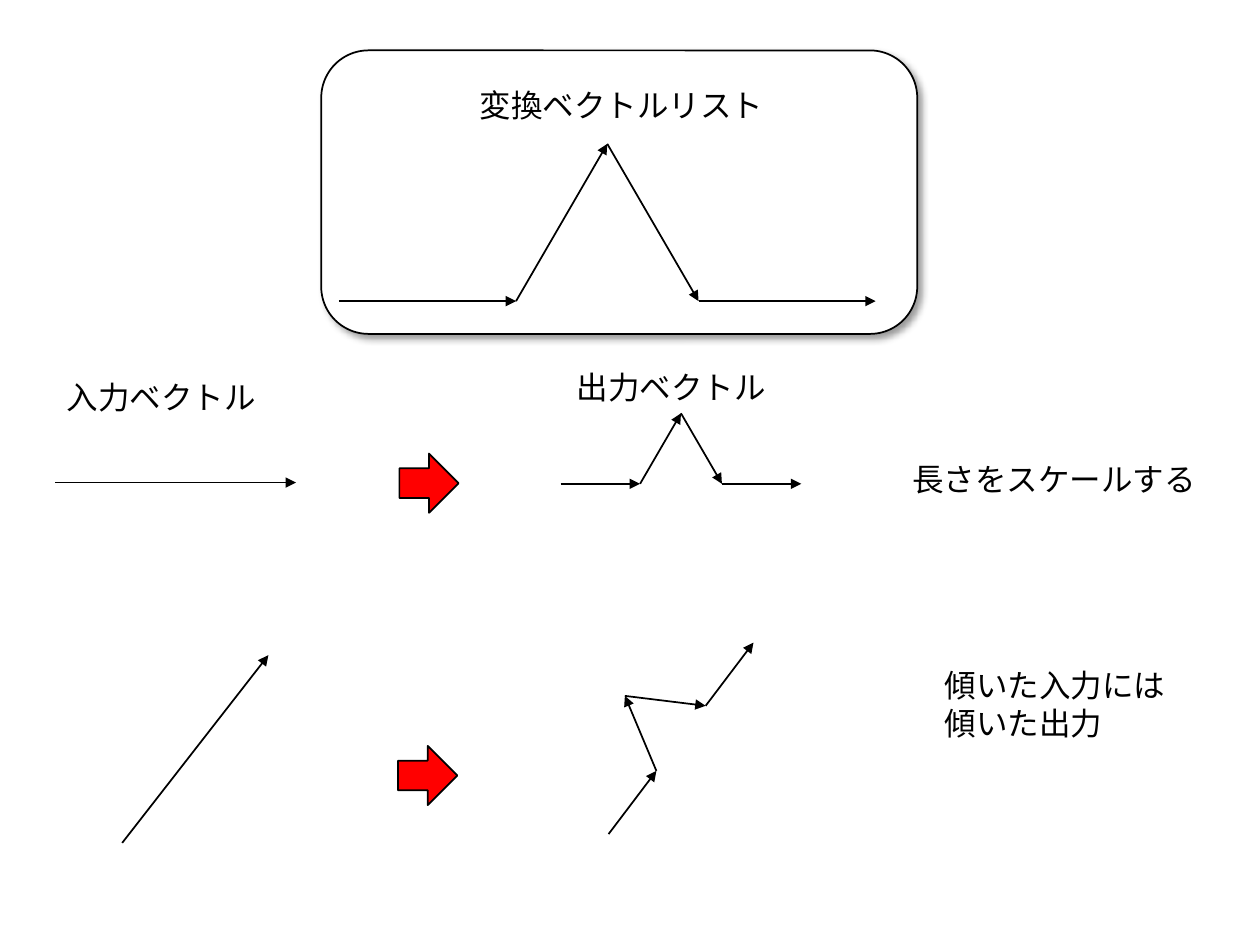
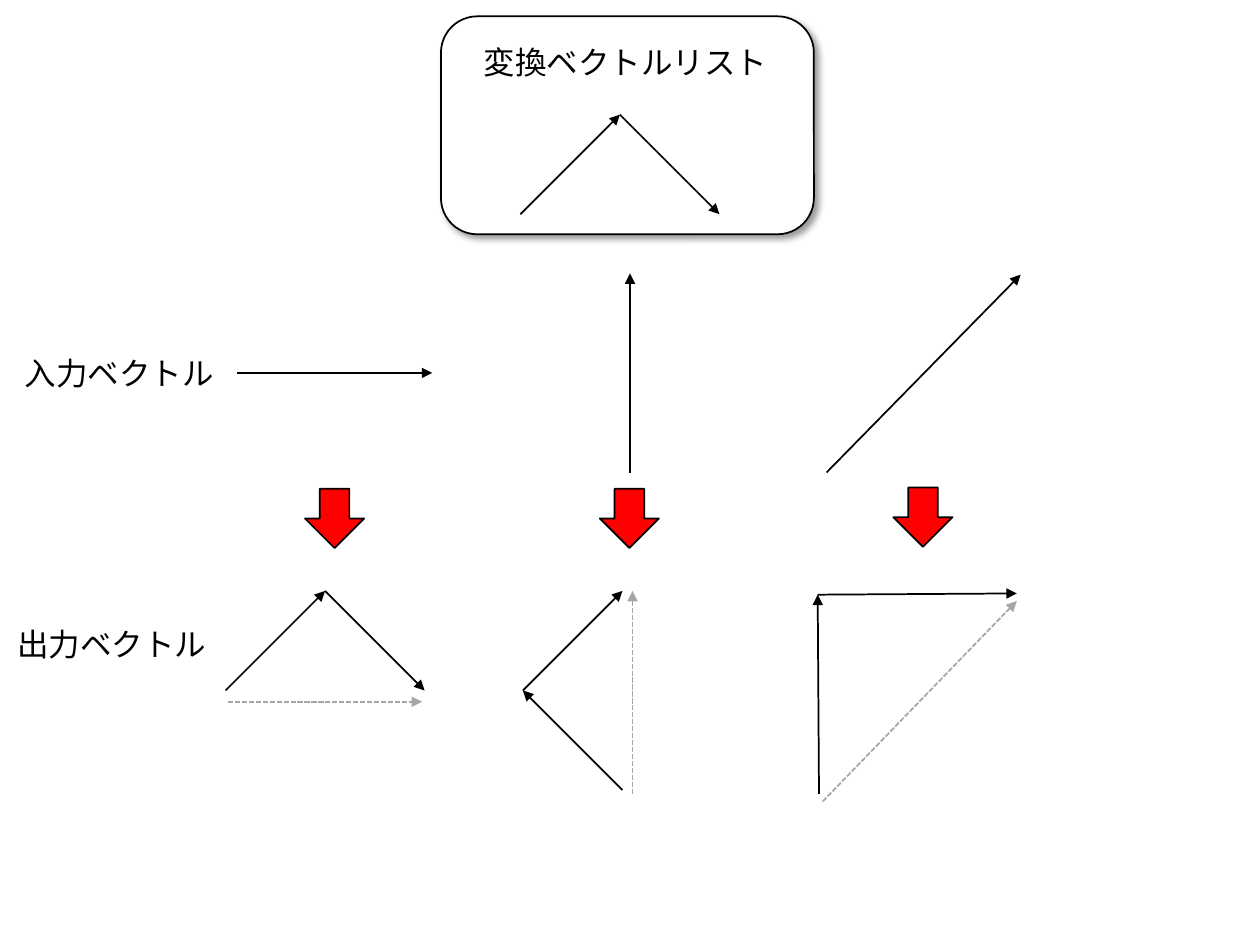
from dataclasses import dataclass
from itertools import pairwise
from pptx import Presentation
from pptx.dml.color import RGBColor as Rgb
from pptx.enum.dml import MSO_LINE as Dash
from pptx.enum.shapes import MSO_CONNECTOR as Link, MSO_SHAPE as Form
from pptx.enum.text import MSO_AUTO_SIZE as Fit
from pptx.oxml import parse_xml
from pptx.oxml.ns import nsdecls, qn
from pptx.util import Inches, Pt


@dataclass(frozen=True)
class Theme:
    ink: Rgb = Rgb(0, 0, 0)
    paper: Rgb = Rgb(255, 255, 255)
    red: Rgb = Rgb(255, 0, 0)
    gray: Rgb = Rgb(0xA6, 0xA6, 0xA6)
    font: str = "Calibri"
    size: int = 18
    rule: int = 1
    block: float = 0.47
    row: float = 0.4


THEME = Theme()
FONT = {"name": THEME.font, "size": Pt(THEME.size)}
WIDE, TALL = 10, 7.5

PEAK = [(0.33, 0), (0.5, 0.293), (0.67, 0)]
ROOF = [(0.5, 0.5)]

RULES, INPUT, OUTPUT = "変換ベクトルリスト", "入力ベクトル", "出力ベクトル"

SLIDES = [
    {
        "panel": (2.55, 0.4, 4.73, 2.25),
        "motif": PEAK,
        "paths": [
            ((2.69, 2.39), (6.95, 2.39)),
            ((4.45, 3.84), (6.36, 3.84)),
            ((4.83, 6.62), (5.98, 5.1)),
        ],
        "inputs": [((0.44, 3.83), (2.35, 3.83)), ((0.97, 6.69), (2.13, 5.2))],
        "ghosts": [],
        "turn": 0,
        "blocks": [(3.17, 3.6), (3.16, 5.92)],
        "labels": [
            (RULES, 3.71, 0.63, 2.53, True),
            (INPUT, 0.43, 2.95, 2.17, True),
            (OUTPUT, 4.48, 2.87, 2.17, True),
            ("長さをスケールする", 7.14, 3.6, 2.47, False),
            ("傾いた入力には\n傾いた出力", 7.4, 5.24, 1.97, False),
        ],
    },
    {
        "panel": (3.5, 0.13, 2.96, 1.73),
        "motif": ROOF,
        "paths": [
            ((4.13, 1.7), (5.71, 1.7)),
            ((1.79, 5.48), (3.37, 5.48)),
            ((4.94, 6.27), (4.94, 4.69)),
            ((6.5, 6.3), (8.07, 4.71)),
        ],
        "inputs": [
            ((1.88, 2.96), (3.43, 2.96)),
            ((5, 3.75), (5, 2.17)),
            ((6.56, 3.75), (8.1, 2.18)),
        ],
        "ghosts": [
            ((1.81, 5.57), (3.35, 5.57)),
            ((5.02, 6.3), (5.02, 4.69)),
            ((6.53, 6.36), (8.07, 4.77)),
        ],
        "turn": 90,
        "blocks": [(2.42, 3.88), (4.76, 3.88), (7.09, 3.87)],
        "labels": [
            (RULES, 3.74, 0.29, 2.53, True),
            (INPUT, 0.1, 2.76, 2.17, True),
            (OUTPUT, 0.04, 4.91, 2.17, True),
        ],
    },
]


def stroke(line, color):
    line.color.rgb = color
    line.width = Pt(THEME.rule)


def arrow(shapes, start, end, color=THEME.ink, dash=None):
    link = shapes.add_connector(Link.STRAIGHT, *map(Inches, (*start, *end)))
    stroke(link.line, color)
    if dash:
        link.line.dash_style = dash
    link.line._get_or_add_ln().append(
        parse_xml(f'<a:tailEnd {nsdecls("a")} type="triangle"/>'))
    link._element.spPr.append(parse_xml(f'<a:effectLst {nsdecls("a")}/>'))


def bend(motif, start, end):
    (x, y), (u, v) = start, end
    dx, dy = u - x, v - y
    mids = [(x + a * dx + b * dy, y + a * dy - b * dx) for a, b in motif]
    return [start, *mids, end]


def solid(shapes, form, box, color):
    shape = shapes.add_shape(form, *map(Inches, box))
    shape.shadow.inherit = False
    shape.fill.solid()
    shape.fill.fore_color.rgb = color
    stroke(shape.line, THEME.ink)
    return shape


def panel(shapes, box):
    shape = solid(shapes, Form.ROUNDED_RECTANGLE, box, THEME.paper)
    shape._element.spPr.find(qn("a:effectLst")).append(parse_xml(
        f'<a:outerShdw {nsdecls("a")} blurRad="{Pt(4)}" dist="{Pt(3)}" '
        f'dir="{45 * 60000}" algn="tl" rotWithShape="0">'
        f'<a:srgbClr val="{THEME.ink}"><a:alpha val="40000"/></a:srgbClr>'
        '</a:outerShdw>'))


def label(shapes, text, x, y, width, wrap):
    lines = text.split("\n")
    height = THEME.row + 0.31 * (len(lines) - 1)
    frame = shapes.add_textbox(*map(Inches, (x, y, width, height))).text_frame
    frame.text = text
    frame.word_wrap = wrap
    frame.auto_size = Fit.SHAPE_TO_FIT_TEXT
    for para in frame.paragraphs:
        for run in para.runs:
            for key, value in FONT.items():
                setattr(run.font, key, value)
            run.font.color.rgb = THEME.ink


deck = Presentation()
deck.slide_width, deck.slide_height = Inches(WIDE), Inches(TALL)
for page in SLIDES:
    shapes = deck.slides.add_slide(deck.slide_layouts[6]).shapes
    panel(shapes, page["panel"])
    for ends in page["inputs"]:
        arrow(shapes, *ends)
    for ends in page["paths"]:
        group = shapes.add_group_shape()
        for pair in pairwise(bend(page["motif"], *ends)):
            arrow(group.shapes, *pair)
    for ends in page["ghosts"]:
        arrow(shapes, *ends, THEME.gray, Dash.SQUARE_DOT)
    for spot in page["blocks"]:
        box = (*spot, THEME.block, THEME.block)
        solid(shapes, Form.RIGHT_ARROW, box, THEME.red).rotation = page["turn"]
    for item in page["labels"]:
        label(shapes, *item)
deck.save("out.pptx")
